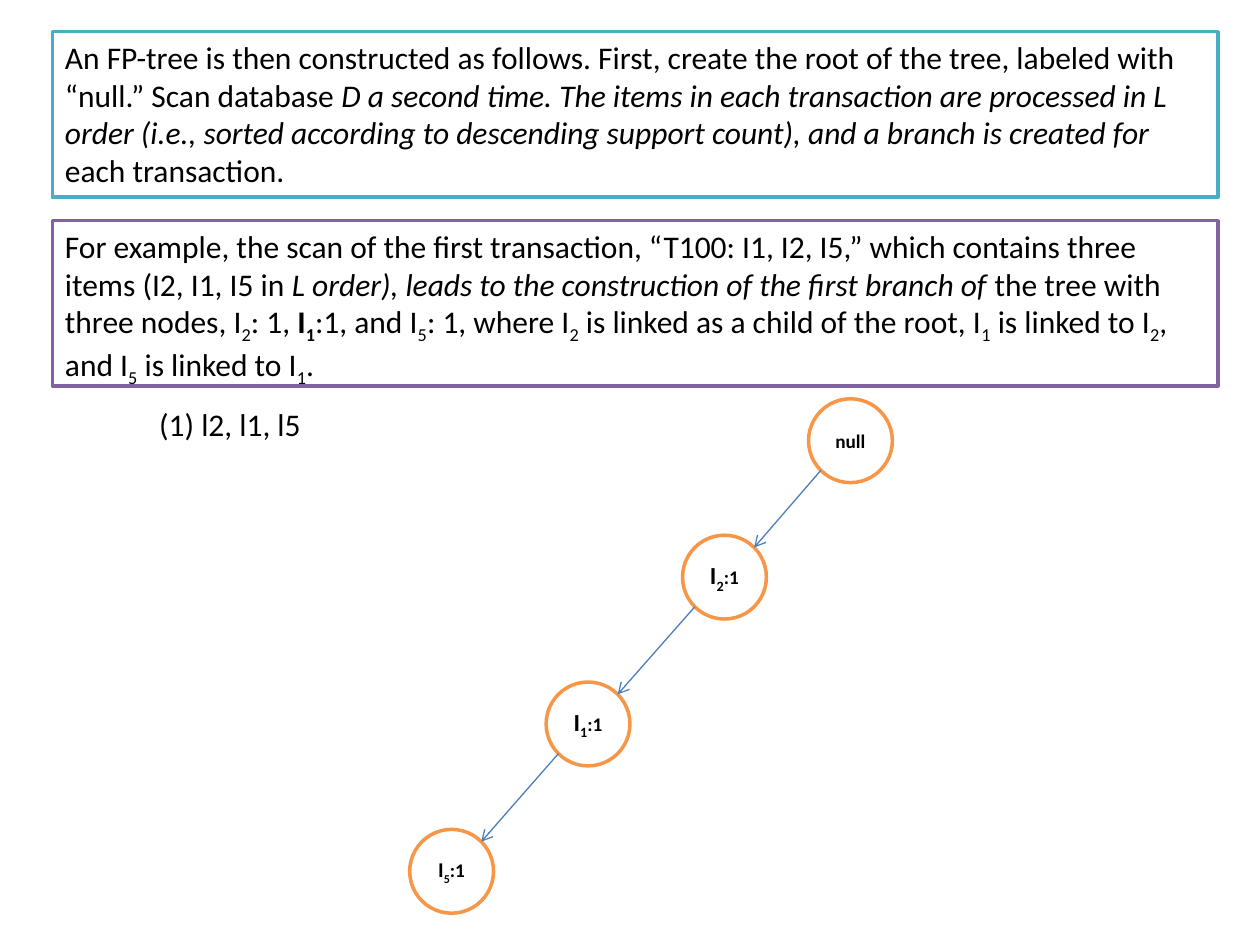
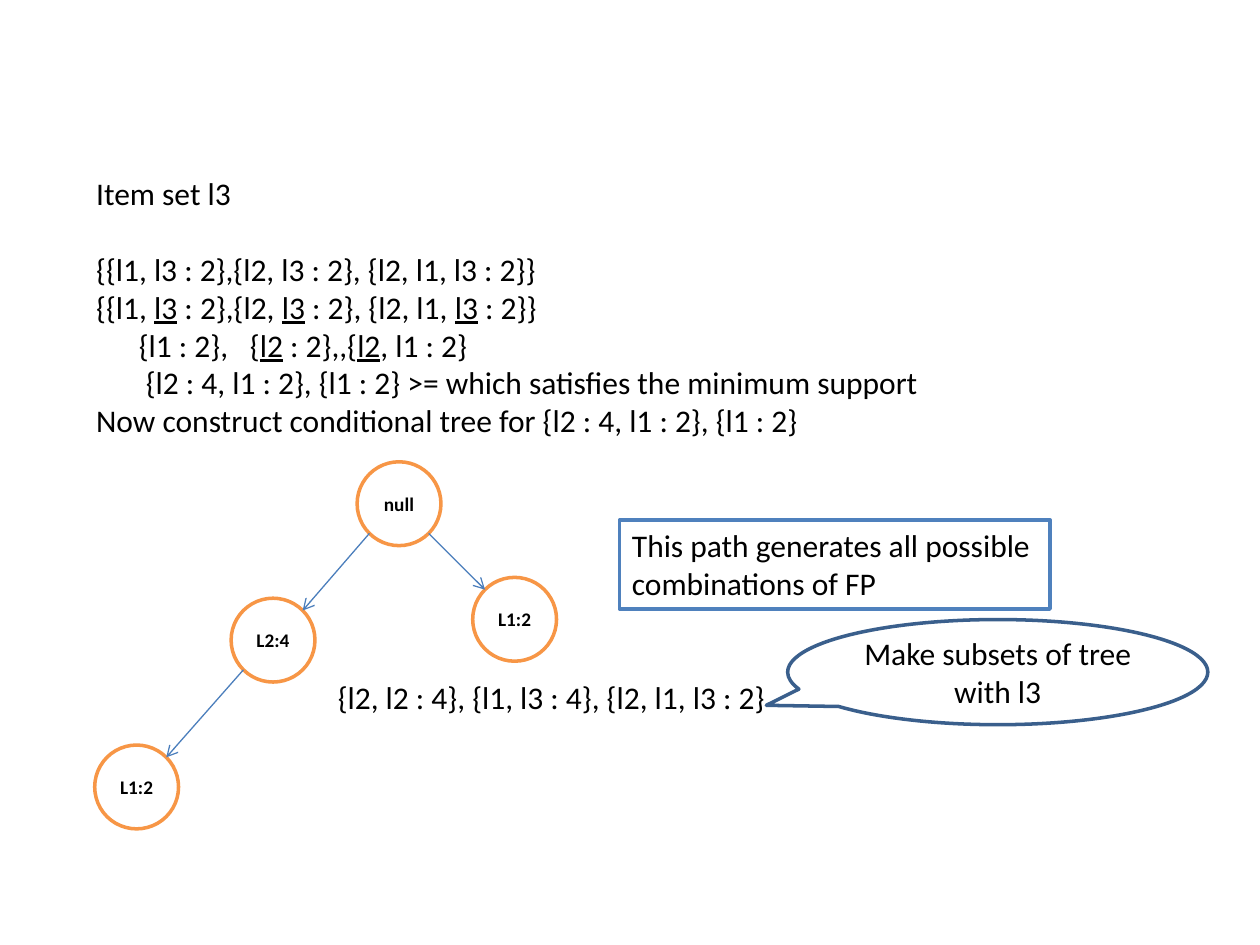
from dataclasses import dataclass
from math import sqrt

from lxml.etree import SubElement
from pptx import Presentation
from pptx.dml.color import RGBColor as Rgb
from pptx.enum.shapes import MSO_CONNECTOR as Conn, MSO_SHAPE as Kind
from pptx.enum.text import MSO_ANCHOR as Anchor, MSO_AUTO_SIZE as Auto, PP_ALIGN as Align
from pptx.oxml.ns import qn
from pptx.util import Cm, Pt


@dataclass(frozen=True)
class Theme:
    font: str = "Calibri"
    ink: str = "000000"
    paper: str = "FFFFFF"
    teal: str = "4BACC6"
    plum: str = "8064A2"
    blue: str = "4F81BD"
    navy: str = "3A5F8C"
    amber: str = "F79646"
    link: str = "4B7EBC"
    body: int = 18
    big: int = 14
    mid: int = 12
    small: int = 11
    edge: float = 2
    thin: float = 0.75


LOOK = Theme()
MARKS = {
    "i": {"italic": True},
    "b": {"bold": True},
    "u": {"underline": True},
    "t": {"size": Pt(LOOK.small)},
}
NODE = 1.69
# Offsets of tree nodes from the root, in centimetres
ROOT, LOW, DEEP, LAST = (0, 0), (-2.54, 2.75), (-5.29, 5.71), (-8.04, 8.68)
SIDE = (2.33, 2.33)

INTRO = [
    "An FP-tree is then constructed as follows. First, create the root of the tree, "
    "labeled with “null.” Scan database ~i|D a second time. The items in each "
    "transaction are processed in L order (i.e., sorted according to descending "
    "support count), and a branch is created for",
    "each transaction.",
]
SAMPLE = [
    "For example, the scan of the first transaction, “T100: I1, I2, I5,” which "
    "contains three items (I2, I1, I5 in ~i|L order), leads to the construction of "
    "the first branch of ~the tree with three nodes, I~s|2~: 1, ~b|I~bs|1~:1, and "
    "I~s|5~: 1, where I~s|2~ is linked as a child of the root, I~s|1~ is linked to "
    "I~s|2~, and I~s|5~ is linked to I~s|1~.",
]
STEPS = [
    "Item set l3",
    "{{l1, l3 : 2},{l2, l3 : 2}, {l2, l1, l3 : 2}}",
    "{{l1, ~u|l3~ : 2},{l2, ~u|l3~ : 2}, {l2, l1, ~u|l3~ : 2}}",
    "\t{l1 : 2},\t{~u|l2~ : 2},,{~u|l2~, l1 : 2}",
    "\t{l2 : 4, l1 : 2}, {l1 : 2} >= which satisfies the minimum support",
    "Now construct conditional tree for {l2 : 4, l1 : 2}, {l1 : 2}",
]


def apply(item, form):
    for name, value in form.items():
        setattr(item, name, value)


def write(para, text, size, bold=False):
    """Add runs; "~" parts them, and letters before "|" mark a run's style."""
    for part in filter(None, text.split("~")):
        marks, _, words = part.rpartition("|")
        run = para.add_run()
        run.text = words
        form = {"name": LOOK.font, "size": Pt(size), "bold": bold}
        for mark in marks:
            form.update(MARKS.get(mark, {}))
        apply(run.font, form)
        run.font.color.rgb = Rgb.from_string(LOOK.ink)
        if "s" in marks:
            run.font._element.set("baseline", "-25000")


def fill(shape, lines, size=LOOK.body, align=Align.LEFT, bold=False, **form):
    frame = shape.text_frame
    apply(frame, {"word_wrap": True, "vertical_anchor": Anchor.TOP, **form})
    for num, text in enumerate(lines):
        para = frame.add_paragraph() if num else frame.paragraphs[0]
        para.alignment = align
        write(para, text, size, bold)
    return frame


def outline(slide, kind, box, color):
    shape = slide.shapes.add_shape(kind, *map(Cm, box))
    shape.shadow.inherit = False
    shape.fill.solid()
    shape.fill.fore_color.rgb = Rgb.from_string(LOOK.paper)
    shape.line.color.rgb = Rgb.from_string(color)
    shape.line.width = Pt(LOOK.edge)
    return shape


def panel(slide, box, lines, color):
    shape = outline(slide, Kind.RECTANGLE, box, color)
    fill(shape, lines, auto_size=Auto.SHAPE_TO_FIT_TEXT)


def note(slide, box, lines, **form):
    shape = slide.shapes.add_textbox(*map(Cm, box))
    return fill(shape, lines, auto_size=Auto.SHAPE_TO_FIT_TEXT, **form)


def bubble(slide, box, text):
    shape = outline(slide, Kind.OVAL_CALLOUT, box, LOOK.navy)
    shape.adjustments[0], shape.adjustments[1] = -0.551, 0.316
    fill(shape, [text], align=Align.CENTER, vertical_anchor=Anchor.MIDDLE)


def arrow(slide, start, end):
    """Join two node centres, from the lower rim of one to the upper rim of the next."""
    reach = NODE / 2 / sqrt(2)
    turn = reach if end[0] > start[0] else -reach
    ends = (start[0] + turn, start[1] + reach, end[0] - turn, end[1] - reach)
    link = slide.shapes.add_connector(Conn.STRAIGHT, *map(Cm, ends))
    link.line.color.rgb = Rgb.from_string(LOOK.link)
    link.line.width = Pt(LOOK.thin)
    props = link._element.spPr
    SubElement(props.find(qn("a:ln")), qn("a:tailEnd"), type="arrow")
    SubElement(props, qn("a:effectLst"))


def tree(slide, left, top, nodes):
    """Draw nodes of (offset, label, size, parent index) from the root's corner."""
    mids = []
    for (across, down), label, size, _ in nodes:
        spot = left + across, top + down
        shape = outline(slide, Kind.OVAL, (*spot, NODE, NODE), LOOK.amber)
        fill(shape, [label], size, Align.CENTER, True, vertical_anchor=Anchor.MIDDLE,
             margin_left=0, margin_right=0)
        mids.append([place + NODE / 2 for place in spot])
    for mid, (*_, parent) in zip(mids, nodes):
        if parent is not None:
            arrow(slide, mids[parent], mid)


def steps(slide, box):
    frame = note(slide, box, STEPS)
    paras = frame.paragraphs
    paras[0].space_after = Pt(21.6)
    for para, stops in ((paras[3], (0.86, 3.1)), (paras[4], (1,))):
        tabs = SubElement(para._p.get_or_add_pPr(), qn("a:tabLst"))
        for stop in stops:
            SubElement(tabs, qn("a:tab"), pos=str(Cm(stop)), algn="l")


def build(slide):
    """Show how the first transaction starts the tree."""
    for row, (lines, color) in enumerate(((INTRO, LOOK.teal), (SAMPLE, LOOK.plum))):
        panel(slide, (1.06, 0.64 + row * 3.81, 23.5, 3.33), lines, color)
    tree(slide, 16.3, 8.04, [
        (ROOT, "null", LOOK.small, None),
        (LOW, "I~s|2~t|:1", LOOK.big, 0),
        (DEEP, "I~s|1~t|:1", LOOK.big, 1),
        (LAST, "I~s|5~t|:1", LOOK.mid, 2),
    ])
    note(slide, (2.96, 8.04, 3.4, 1.03), ["(1) l2, l1, l5"], word_wrap=False)


def mine(slide):
    """Show the conditional tree for item l3."""
    steps(slide, (1.69, 3.39, 17.36, 5.64))
    tree(slide, 7.2, 9.31, [
        (ROOT, "null", LOOK.small, None),
        (LOW, "L2:4", LOOK.small, 0),
        (DEEP, "L1:2", LOOK.small, 1),
        (SIDE, "L1:2", LOOK.small, 0),
    ])
    panel(slide, (12.49, 10.48, 8.68, 1.8),
          ["This path generates all possible combinations of FP"], LOOK.blue)
    bubble(slide, (15.88, 12.49, 8.47, 2.12), "Make subsets of tree with l3")
    note(slide, (6.56, 13.55, 9.31, 1.03), ["{l2, l2 : 4}, {l1, l3 : 4}, {l2, l1, l3 : 2}"])


def main():
    deck = Presentation()
    apply(deck, {"slide_width": Cm(25.4), "slide_height": Cm(19.05)})
    for draw in (build, mine):
        draw(deck.slides.add_slide(deck.slide_layouts[6]))
    deck.save("out.pptx")


if __name__ == "__main__":
    main()
